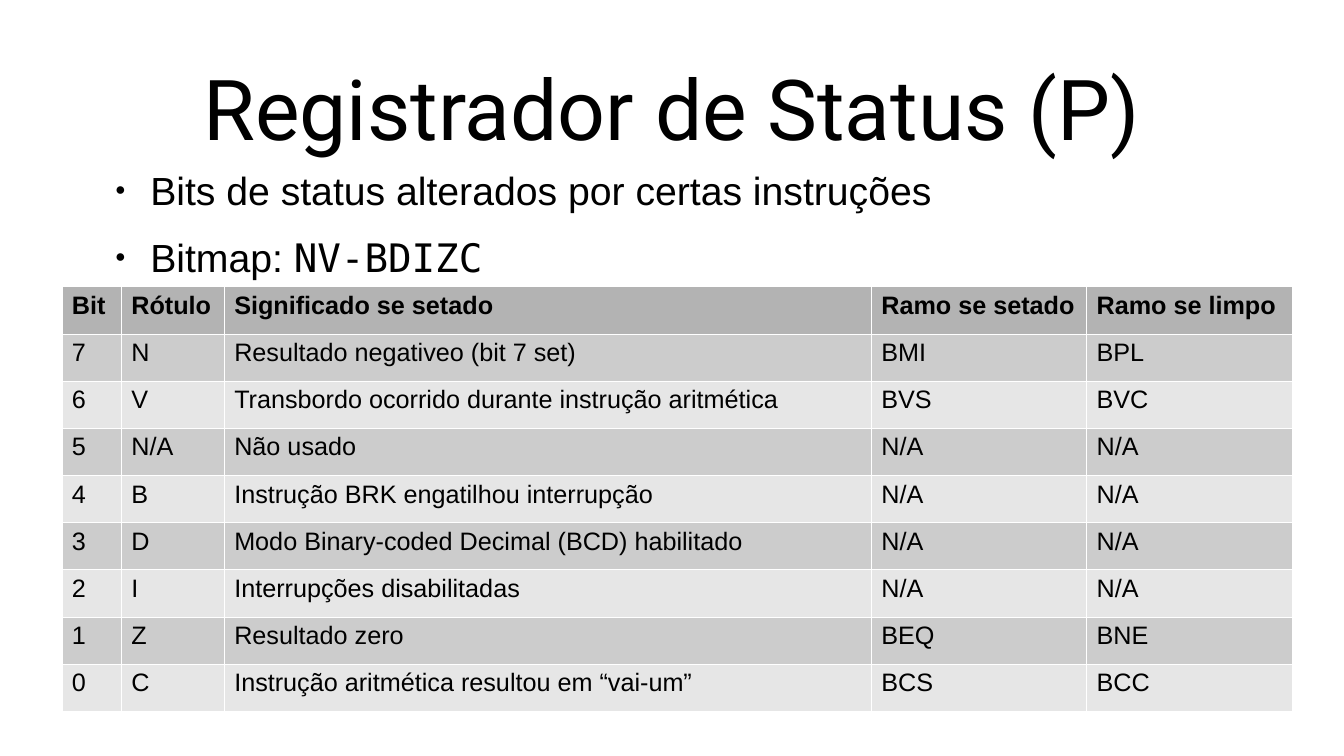
import dataclasses

import lxml.etree
import pptx
import pptx.dml.color
import pptx.enum.text
import pptx.oxml
import pptx.oxml.ns
import pptx.util

Pt = pptx.util.Pt
Align = pptx.enum.text.PP_ALIGN
Anchor = pptx.enum.text.MSO_ANCHOR


@dataclasses.dataclass(frozen=True)
class Theme:
    ink: str = "000000"
    header: str = "B3B3B3"
    bands: tuple = ("CCCCCC", "E6E6E6")
    border: str = "FFFFFF"
    border_width: float = 0.06
    title_font: str = "Roboto"
    body_font: str = "Arial"
    code_font: str = "DejaVu Sans Mono"
    title_size: int = 60
    body_size: int = 28
    table_size: int = 18
    bullet_percent: int = 45


def rgb(code):
    return pptx.dml.color.RGBColor.from_string(code)


class SlideBuilder:
    """Holds the style and the current page."""

    def __init__(self, page, theme):
        self.page = page
        self.theme = theme

    def set_font(self, para, name, size, bold=False):
        font = para.font
        font.name, font.size, font.bold = name, Pt(size), bold
        font.color.rgb = rgb(self.theme.ink)

    def place(self, shape, left, top, width, height):
        shape.left, shape.top = Pt(left), Pt(top)
        shape.width, shape.height = Pt(width), Pt(height)
        shape.text_frame.word_wrap = True
        shape.text_frame.auto_size = pptx.enum.text.MSO_AUTO_SIZE.NONE

    def add_title(self, text, *bounds):
        box = self.page.shapes.title
        self.place(box, *bounds)
        box.text_frame.vertical_anchor = Anchor.MIDDLE
        para = box.text_frame.paragraphs[0]
        para.text = text
        para.alignment = Align.CENTER
        para.line_spacing = 0.9
        self.set_font(para, self.theme.title_font, self.theme.title_size)

    def add_bullet(self, para):
        props = para._p.get_or_add_pPr()
        props.set("marL", str(Pt(34)))
        props.set("indent", str(-Pt(25.2)))
        tag = pptx.oxml.ns.qn
        color = lxml.etree.SubElement(props, tag("a:buClr"))
        lxml.etree.SubElement(color, tag("a:srgbClr"), val=self.theme.ink)
        percent = str(self.theme.bullet_percent * 1000)
        lxml.etree.SubElement(props, tag("a:buSzPct"), val=percent)
        lxml.etree.SubElement(props, tag("a:buChar"), char="●")

    def add_list(self, items, *bounds):
        """Each item is a pair: plain text, then text in the code font."""
        box = self.page.placeholders[1]
        self.place(box, *bounds)
        frame = box.text_frame
        frame.vertical_anchor = Anchor.TOP
        for index, (plain, code) in enumerate(items):
            para = frame.add_paragraph() if index else frame.paragraphs[0]
            para.space_before = Pt(14.2 if index else 0)
            self.add_bullet(para)
            self.set_font(para, self.theme.body_font, self.theme.body_size)
            para.add_run().text = plain
            if code:
                span = para.add_run()
                span.text = code
                span.font.name = self.theme.code_font

    def add_borders(self, cell):
        props = cell._tc.get_or_add_tcPr()
        for index, side in enumerate(("lnL", "lnR", "lnT", "lnB")):
            line = pptx.oxml.parse_xml(
                f'<a:{side} {pptx.oxml.ns.nsdecls("a")} w="{Pt(self.theme.border_width)}">'
                f'<a:solidFill><a:srgbClr val="{self.theme.border}"/></a:solidFill></a:{side}>'
            )
            props.insert(index, line)

    def add_table(self, rows, widths, row_height, left, top):
        table = self.page.shapes.add_table(
            len(rows), len(widths), Pt(left), Pt(top),
            Pt(sum(widths)), Pt(row_height * len(rows)),
        ).table
        for column, width in zip(table.columns, widths):
            column.width = Pt(width)
        for row_index, texts in enumerate(rows):
            table.rows[row_index].height = Pt(row_height)
            is_header = row_index == 0
            fill = self.theme.header if is_header else self.theme.bands[(row_index - 1) % 2]
            for column_index, text in enumerate(texts):
                cell = table.cell(row_index, column_index)
                cell.fill.solid()
                cell.fill.fore_color.rgb = rgb(fill)
                self.add_borders(cell)
                para = cell.text_frame.paragraphs[0]
                para.text = text
                self.set_font(para, self.theme.body_font, self.theme.table_size, is_header)


STATUS_BITS = [
    ("Bit", "Rótulo", "Significado se setado", "Ramo se setado", "Ramo se limpo"),
    ("7", "N", "Resultado negativeo (bit 7 set)", "BMI", "BPL"),
    ("6", "V", "Transbordo ocorrido durante instrução aritmética", "BVS", "BVC"),
    ("5", "N/A", "Não usado", "N/A", "N/A"),
    ("4", "B", "Instrução BRK engatilhou interrupção", "N/A", "N/A"),
    ("3", "D", "Modo Binary-coded Decimal (BCD) habilitado", "N/A", "N/A"),
    ("2", "I", "Interrupções disabilitadas", "N/A", "N/A"),
    ("1", "Z", "Resultado zero", "BEQ", "BNE"),
    ("0", "C", "Instrução aritmética resultou em “vai-um”", "BCS", "BCC"),
]


def main():
    deck = pptx.Presentation()
    deck.slide_width, deck.slide_height = Pt(960), Pt(540)
    page = deck.slides.add_slide(deck.slide_layouts[1])
    builder = SlideBuilder(page, Theme())

    # Title and list
    builder.add_title("Registrador de Status (P)", 14.4, 28.8, 931, 104.4)
    builder.add_list(
        [("Bits de status alterados por certas instruções", ""), ("Bitmap: ", "NV-BDIZC")],
        66.2, 115.2, 828, 108,
    )

    # Status bit table
    builder.add_table(STATUS_BITS, (42.5, 73.5, 462.2, 153.8, 146.5), 33.7, 44.2, 204.7)

    deck.save("out.pptx")


if __name__ == "__main__":
    main()
